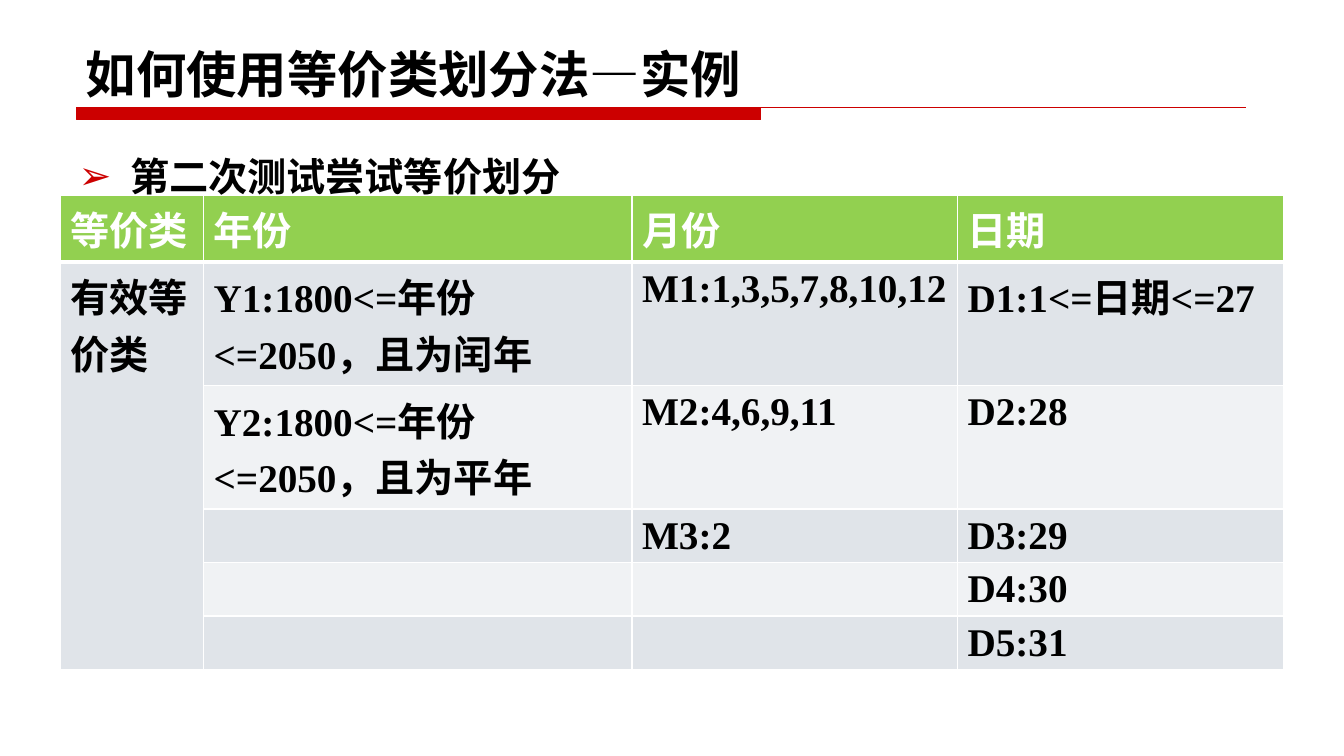
from dataclasses import dataclass

from lxml import etree
from pptx import Presentation
from pptx.dml.color import RGBColor
from pptx.enum.shapes import MSO_CONNECTOR
from pptx.enum.text import MSO_ANCHOR, MSO_AUTO_SIZE, PP_ALIGN
from pptx.oxml.ns import qn
from pptx.util import Pt

STRAIGHT = MSO_CONNECTOR.STRAIGHT
BOTTOM, TOP = MSO_ANCHOR.BOTTOM, MSO_ANCHOR.TOP
NO_AUTOFIT = MSO_AUTO_SIZE.NONE
LEFT = PP_ALIGN.LEFT


@dataclass(frozen=True)
class Theme:
    """Colours, fonts and type sizes of the slide."""
    red: str = "CC0000"
    green: str = "92D050"
    band_dark: str = "E0E4E9"
    band_light: str = "F0F2F4"
    black: str = "000000"
    white: str = "FFFFFF"
    sans: str = "Noto Sans CJK SC"
    serif: str = "Times New Roman"
    title_size: int = 36
    text_size: int = 28


THEME = Theme()
COLUMN_WIDTHS = (102.24, 306, 232.56, 232.56)
ROW_HEIGHTS = (32.4, 78.48, 67.68, 32.4, 32.4, 32.4)
CLASS_ROWS = (
    ("等价类", "年份", "月份", "日期"),
    ("有效等价类", "Y1:1800<=年份<=2050，且为闰年", "M1:1,3,5,7,8,10,12", "D1:1<=日期<=27"),
    ("", "Y2:1800<=年份<=2050，且为平年", "M2:4,6,9,11", "D2:28"),
    ("", "", "M3:2", "D3:29"),
    ("", "", "", "D4:30"),
    ("", "", "", "D5:31"),
)


def add_text(paragraph, text, size=THEME.text_size, color=THEME.black, latin=THEME.sans):
    """Append a bold run with its Latin and East Asian fonts."""
    run = paragraph.add_run()
    run.text = text
    run.font.size = Pt(size)
    run.font.bold = True
    run.font.color.rgb = RGBColor.from_string(color)
    run.font.name = latin
    etree.SubElement(run.font._element, qn("a:ea")).set("typeface", THEME.sans)


def place(shape, left, top, width, height):
    """Move a placeholder to a box given in points."""
    shape.left, shape.top = Pt(left), Pt(top)
    shape.width, shape.height = Pt(width), Pt(height)
    shape.text_frame.auto_size = NO_AUTOFIT


def fill_title(title, left, top, width, height):
    """Write the slide title at the bottom of its box."""
    place(title, left, top, width, height)
    title.text_frame.vertical_anchor = BOTTOM
    heading = title.text_frame.paragraphs[0]
    heading.alignment = LEFT
    add_text(heading, "如何使用等价类划分法—实例", size=THEME.title_size)


def draw_title_rule(slide, left, top, width, height):
    """Draw the thick bar and the thin line below the title as one outline."""
    right, bar_right, bottom = left + width, left + width * 0.585, top + height
    outline = slide.shapes.build_freeform(Pt(left), Pt(top))
    outline.add_line_segments([(Pt(x), Pt(y)) for x, y in (
        (bar_right, top), (bar_right, bottom), (left, bottom))])
    outline.move_to(Pt(left), Pt(top))
    outline.add_line_segments([(Pt(right), Pt(top))], close=False)
    rule = outline.convert_to_shape()
    rule.shadow.inherit = False
    rule.fill.solid()
    rule.fill.fore_color.rgb = RGBColor.from_string(THEME.red)
    rule.line.color.rgb = RGBColor.from_string(THEME.red)
    rule.line.width = Pt(0.75)


def draw_footer_rule(slide, left, top, width):
    """Draw the hairline at the foot of the slide."""
    rule = slide.shapes.add_connector(STRAIGHT, Pt(left), Pt(top), Pt(left + width), Pt(top))
    rule.line.color.rgb = RGBColor.from_string(THEME.red)
    rule.line.width = Pt(0.25)
    etree.SubElement(rule._element.spPr, qn("a:effectLst"))


def fill_body(body, left, top, width, height):
    """Write the bulleted lead sentence."""
    place(body, left, top, width, height)
    body.text_frame.vertical_anchor = TOP
    lead = body.text_frame.paragraphs[0]
    lead.line_spacing = 1.5
    lead.space_before = Pt(THEME.text_size * 0.2)
    properties = lead._p.get_or_add_pPr()
    properties.set("marL", str(Pt(36.72)))
    properties.set("indent", str(-Pt(36.72)))
    bullet_color = etree.SubElement(properties, qn("a:buClr"))
    etree.SubElement(bullet_color, qn("a:srgbClr")).set("val", THEME.red)
    etree.SubElement(properties, qn("a:buChar")).set("char", "➢")
    add_text(lead, "第二次测试尝试等价划分")


def set_borders(cell, bottom):
    """Give a cell white borders, with its own bottom width in points."""
    properties = cell._tc.get_or_add_tcPr()
    widths = (("a:lnL", 1), ("a:lnR", 1), ("a:lnT", 1), ("a:lnB", bottom))
    for position, (side, width) in enumerate(widths):
        border = etree.Element(qn(side), w=str(Pt(width)))
        paint = etree.SubElement(border, qn("a:solidFill"))
        etree.SubElement(paint, qn("a:srgbClr")).set("val", THEME.white)
        properties.insert(position, border)


def draw_class_table(slide, left, top, width, height):
    """Draw the table of equivalence classes."""
    table = slide.shapes.add_table(len(CLASS_ROWS), len(COLUMN_WIDTHS), Pt(left), Pt(top),
                                   Pt(width), Pt(height)).table
    for column, column_width in zip(table.columns, COLUMN_WIDTHS):
        column.width = Pt(column_width)
    for row, row_height in zip(table.rows, ROW_HEIGHTS):
        row.height = Pt(row_height)
    table.cell(1, 0).merge(table.cell(len(CLASS_ROWS) - 1, 0))
    for row_index, labels in enumerate(CLASS_ROWS):
        header = row_index == 0
        band = THEME.band_dark if row_index % 2 else THEME.band_light
        for column_index, label in enumerate(labels):
            cell = table.cell(row_index, column_index)
            cell.fill.solid()
            fill = THEME.green if header else THEME.band_dark if column_index == 0 else band
            cell.fill.fore_color.rgb = RGBColor.from_string(fill)
            set_borders(cell, bottom=3 if header else 1)
            if label:
                add_text(cell.text_frame.paragraphs[0], label, latin=THEME.serif,
                         color=THEME.white if header else THEME.black)


def main():
    """Build the slide and save it."""
    deck = Presentation()
    deck.slide_width, deck.slide_height = Pt(960), Pt(540)
    slide = deck.slides.add_slide(deck.slide_layouts[1])
    draw_title_rule(slide, 54.72, 77.04, 835.2, 8.64)
    draw_footer_rule(slide, 54.72, 468.72, 832.32)
    fill_title(slide.shapes.title, 54, 20.88, 840.24, 56.88)
    fill_body(slide.placeholders[1], 48.96, 88.56, 840.24, 336.24)
    draw_class_table(slide, 43.2, 139.68, 873.36, 316.08)
    deck.save("out.pptx")


if __name__ == "__main__":
    main()
